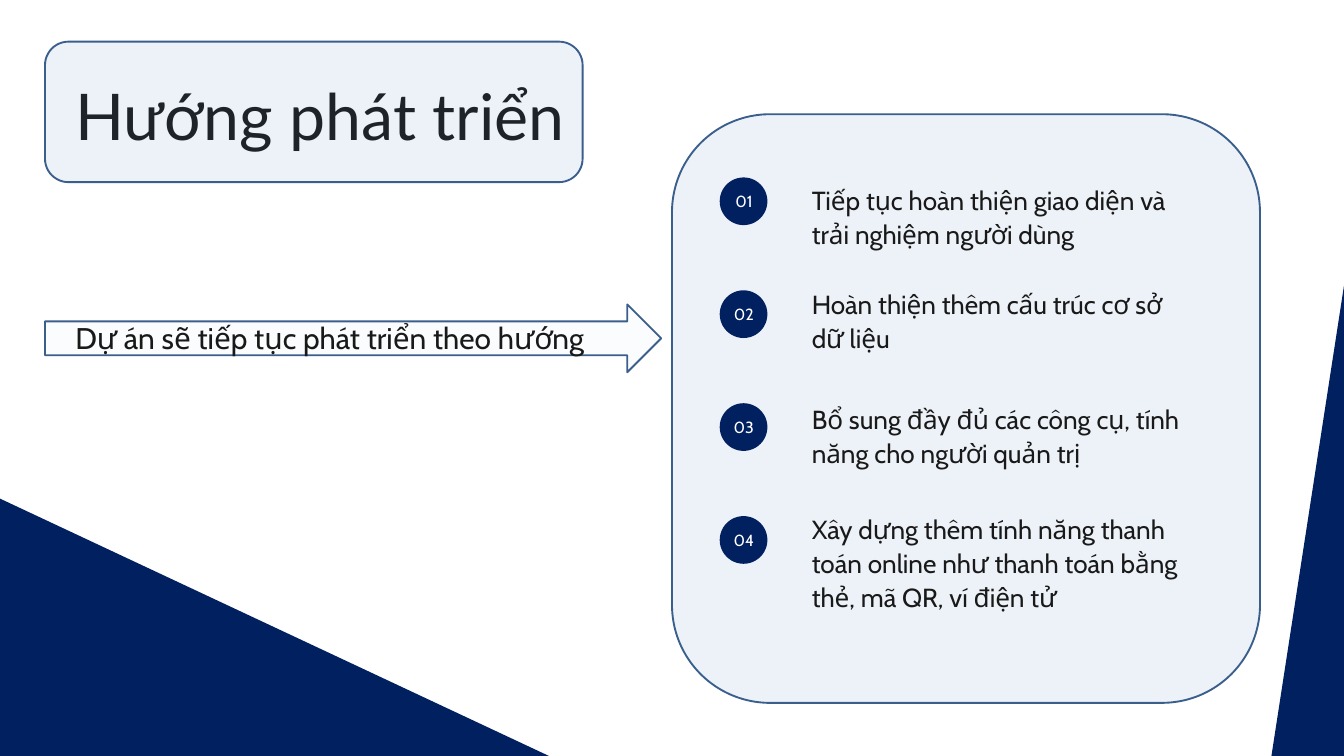
from lxml import etree
from pptx import Presentation
from pptx.dml.color import RGBColor
from pptx.enum.shapes import MSO_SHAPE as Preset
from pptx.enum.text import PP_ALIGN as Align
from pptx.oxml.ns import qn
from pptx.util import Inches, Pt

NAVY = RGBColor(0x00, 0x20, 0x60)
BLUE = RGBColor(0x4F, 0x81, 0xBD)
OUTLINE = RGBColor(0x3A, 0x5F, 0x8C)
INK = RGBColor(0x19, 0x19, 0x19)
WHITE = RGBColor(0xFF, 0xFF, 0xFF)


class SlideBuilder:
    """Draws styled elements on the current slide; lengths are in inches."""

    body_font = "Cabin"
    title_font = "Lato"

    def __init__(self, slide):
        self.shapes = slide.shapes

    def solid(self, shape, color):
        shape.shadow.inherit = False
        shape.fill.solid()
        shape.fill.fore_color.rgb = color
        shape.line.fill.background()

    def tinted(self, preset, left, top, width, height, opacity):
        shape = self.shapes.add_shape(
            preset, Inches(left), Inches(top), Inches(width), Inches(height))
        self.solid(shape, BLUE)
        shape.line.color.rgb = OUTLINE
        shape.line.width = Pt(2)
        fill_color = shape.fill._xPr.find(qn("a:solidFill"))[0]
        etree.SubElement(fill_color, qn("a:alpha"), val=str(opacity * 1000))

    def triangle(self, *corners):
        first, *others = [(Inches(x), Inches(y)) for x, y in corners]
        outline = self.shapes.build_freeform(*first)
        outline.add_line_segments(others, close=True)
        self.solid(outline.convert_to_shape(), NAVY)

    def text(self, words, left, top, width, height, size, spacing,
             font=body_font, color=INK, align=Align.LEFT):
        frame = self.shapes.add_textbox(
            Inches(left), Inches(top), Inches(width), Inches(height)).text_frame
        frame.word_wrap = True
        frame.margin_left = frame.margin_right = 0
        frame.margin_top = frame.margin_bottom = 0
        frame.text = words
        paragraph = frame.paragraphs[0]
        paragraph.alignment = align
        paragraph.line_spacing = Pt(spacing)
        run_font = paragraph.runs[0].font
        run_font.name = font
        run_font.size = Pt(size)
        run_font.color.rgb = color

    def badge(self, number, left, top):
        disc = self.shapes.add_shape(
            Preset.OVAL, Inches(left), Inches(top), Inches(0.71), Inches(0.71))
        self.solid(disc, NAVY)
        self.text(f"{number:02}", left + 0.16, top + 0.21, 0.4, 0.3,
                  17.3, 20.7, color=WHITE, align=Align.CENTER)


def main():
    deck = Presentation()
    deck.slide_width, deck.slide_height = Inches(20), Inches(11.25)
    builder = SlideBuilder(deck.slides.add_slide(deck.slide_layouts[6]))

    # Arrow, right-hand wedge and panel
    builder.tinted(Preset.RIGHT_ARROW, 0.67, 4.53, 9.17, 1.01, opacity=2)
    builder.triangle((20, 4.25), (20, 11.25), (18.92, 11.25))
    builder.tinted(Preset.ROUNDED_RECTANGLE, 10, 1.7, 8.75, 8.76, opacity=10)

    # Numbered directions
    directions = [
        (2.71, 1.01, "Tiếp tục hoàn thiện giao diện và trải nghiệm người dùng"),
        (4.25, 1.01, "Hoàn thiện thêm cấu trúc cơ sở dữ liệu"),
        (5.96, 1.01, "Bổ sung đầy đủ các công cụ, tính năng cho người quản trị"),
        (7.6, 2.02, "Xây dựng thêm tính năng thanh toán online như thanh toán "
                    "bằng thẻ, mã QR, ví điện tử"),
    ]
    for index, (top, height, direction) in enumerate(directions):
        builder.text(direction, 12.08, top, 5.61, height, 28, 36.4)
        builder.badge(index + 1, 10.71, 2.64 + 1.68 * index)

    # Title and lead-in
    builder.text("Hướng phát triển", 1.12, 1.13, 8.25, 1.14, 69, 82.8,
                 font=builder.title_font)
    builder.text("Dự án sẽ tiếp tục phát triển theo hướng",
                 1.12, 4.71, 8.38, 0.59, 32, 41.6)

    # Lower-left wedge and the tint over the title
    builder.triangle((8.17, 11.25), (0, 11.25), (0, 7.42))
    builder.tinted(Preset.ROUNDED_RECTANGLE, 0.67, 0.62, 8, 2.09, opacity=10)

    deck.save("out.pptx")


if __name__ == "__main__":
    main()
